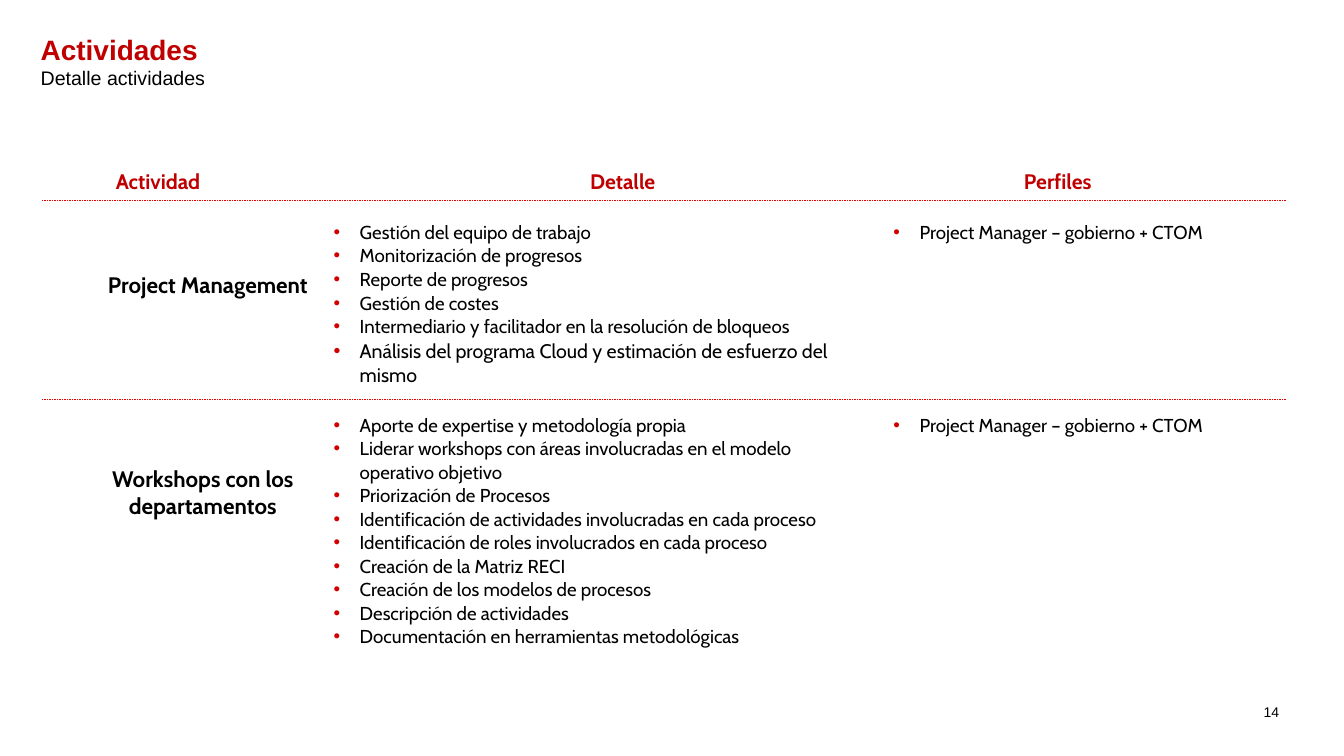
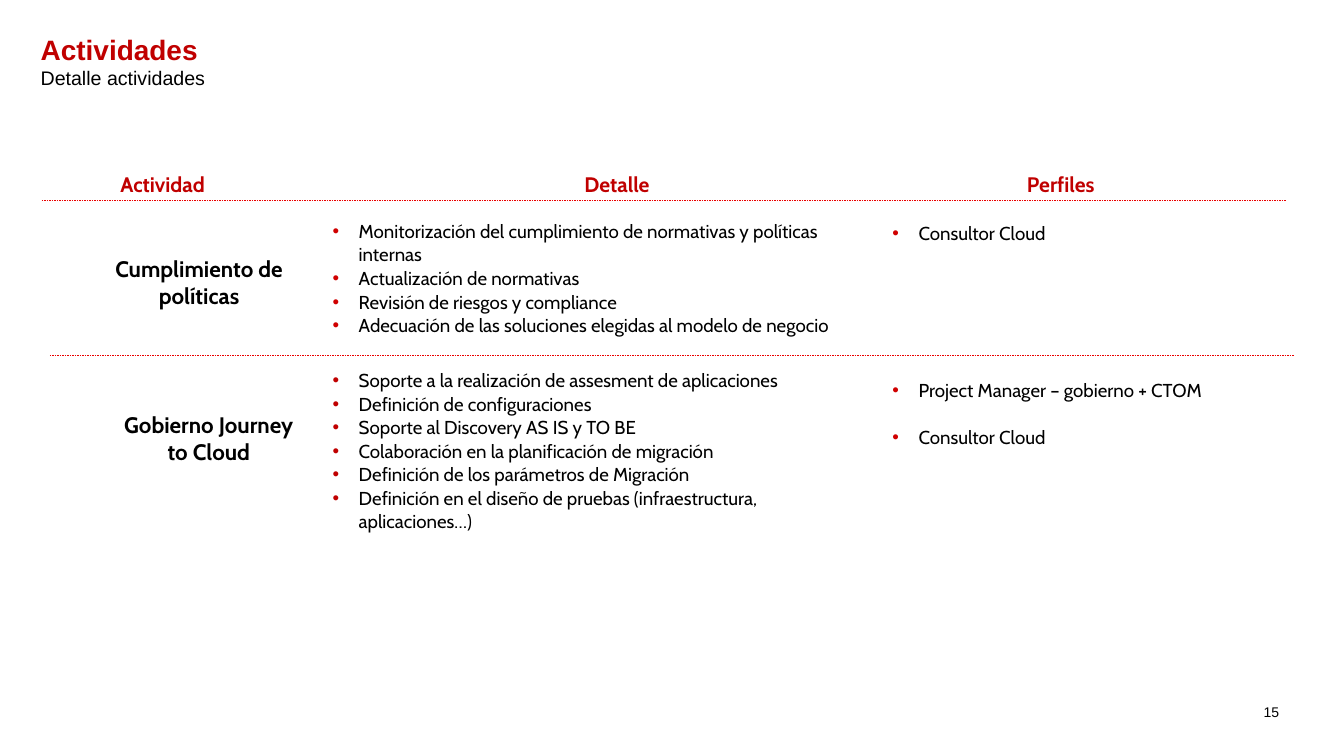
from collections import namedtuple

from lxml.etree import SubElement
from pptx import Presentation
from pptx.dml.color import RGBColor
from pptx.enum.dml import MSO_LINE
from pptx.enum.shapes import MSO_CONNECTOR
from pptx.enum.text import MSO_ANCHOR, PP_ALIGN
from pptx.oxml.ns import qn
from pptx.util import Cm, Pt

RED = "C00000"
BULLET_RED = "D00000"
RULE_RED = "EB0000"
BLACK = "000000"
HEADING_FONT = "Arial"
BODY_FONT = "Cabin"
BODY_SIZE = 26.7
BULLET_INDENT = 1.32
LABEL_INSETS = (0.43, 0.2)
DEFAULT_INSETS = (0.25, 0.13)
NO_INSETS = (0, 0)
RULE_LEFT, RULE_WIDTH = 2.11, 62.71
HEADER_RULE_TOP = 10.08

Box = namedtuple("Box", "left top width height")
Line = namedtuple("Line", "text size bold color before", defaults=(None, None, None, 0))
Activity = namedtuple(
    "Activity", "name name_box details details_box profiles profiles_box bullet",
    defaults=(BULLET_RED,))

MANAGER = Line("Project Manager – gobierno + CTOM")

PROJECT_MANAGEMENT = Activity(
    "Project Management", Box(4.55, 13.44, 11.86, 1.8),
    ["Gestión del equipo de trabajo",
     "Monitorización de progresos",
     "Reporte de progresos",
     "Gestión de costes",
     "Intermediario y facilitador en la resolución de bloqueos",
     Line("Análisis del programa Cloud y estimación de esfuerzo del mismo", 28)],
    Box(16.81, 11.07, 26.47, 7.54),
    [MANAGER], Box(45.03, 11.07, 20.57, 2.79))

WORKSHOPS = Activity(
    "Workshops con los departamentos", Box(4.01, 23.24, 12.42, 3.18),
    ["Aporte de expertise y metodología propia",
     "Liderar workshops con áreas involucradas en el modelo operativo objetivo",
     "Priorización de Procesos",
     "Identificación de actividades involucradas en cada proceso",
     "Identificación de roles involucrados en cada proceso",
     "Creación de la Matriz RECI",
     "Creación de los modelos de procesos",
     "Descripción de actividades",
     "Documentación en herramientas metodológicas"],
    Box(16.81, 20.78, 26.47, 14.5),
    [MANAGER], Box(45.03, 20.78, 20.57, 9.65))

POLICIES = Activity(
    "Cumplimiento de políticas", Box(4.47, 12.65, 11.13, 3.18),
    ["Monitorización del cumplimiento de normativas y políticas internas",
     "Actualización de normativas",
     "Revisión de riesgos y compliance",
     "Adecuación de las soluciones elegidas al modelo de negocio"],
    Box(16.76, 11.02, 26.47, 9.98),
    ["Consultor Cloud"], Box(44.98, 11.13, 20.57, 9.98))

CLOUD_JOURNEY = Activity(
    "Gobierno Journey to Cloud", Box(5.46, 20.52, 10.13, 3.18),
    ["Soporte a la realización de assesment de aplicaciones",
     "Definición de configuraciones",
     "Soporte al Discovery AS IS y TO BE",
     "Colaboración en la planificación de migración",
     "Definición de los parámetros de Migración",
     "Definición en el diseño de pruebas (infraestructura, aplicaciones…)"],
    Box(16.76, 18.54, 26.47, 8.69),
    [MANAGER, Line("Consultor Cloud", before=33.6)], Box(44.98, 19.05, 20.57, 3.86), RED)


def rgb(value):
    return RGBColor.from_string(value)


def add_bullet(paragraph, color):
    properties = paragraph._p.get_or_add_pPr()
    properties.set("marL", str(Cm(BULLET_INDENT)))
    properties.set("indent", str(-Cm(BULLET_INDENT)))
    bullet_color = SubElement(properties, qn("a:buClr"))
    SubElement(bullet_color, qn("a:srgbClr")).set("val", color)
    SubElement(properties, qn("a:buFont")).set("typeface", "Arial")
    SubElement(properties, qn("a:buChar")).set("char", "•")


def add_text(slide, box, lines, size=BODY_SIZE, font=BODY_FONT, color=BLACK, bold=False,
             align=PP_ALIGN.LEFT, anchor=MSO_ANCHOR.TOP, insets=NO_INSETS,
             spacing=None, bullet=None):
    frame = slide.shapes.add_textbox(*map(Cm, box)).text_frame
    frame.word_wrap = True
    frame.vertical_anchor = anchor
    frame.margin_left = frame.margin_right = Cm(insets[0])
    frame.margin_top = frame.margin_bottom = Cm(insets[1])
    for index, entry in enumerate(lines):
        line = entry if isinstance(entry, Line) else Line(entry)
        paragraph = frame.add_paragraph() if index else frame.paragraphs[0]
        if bullet:
            add_bullet(paragraph, bullet)
        paragraph.alignment = align
        if spacing:
            paragraph.line_spacing = spacing
        if line.before:
            paragraph.space_before = Pt(line.before)
        run = paragraph.add_run()
        run.text = line.text
        run.font.name = font
        run.font.size = Pt(line.size or size)
        run.font.bold = bold if line.bold is None else line.bold
        run.font.color.rgb = rgb(line.color or color)


def add_rule(slide, left, top):
    rule = slide.shapes.add_connector(
        MSO_CONNECTOR.STRAIGHT, Cm(left), Cm(top), Cm(left + RULE_WIDTH), Cm(top))
    rule.line.color.rgb = rgb(RULE_RED)
    rule.line.width = Pt(0.5)
    rule.line.dash_style = MSO_LINE.DASH
    SubElement(rule._element.spPr, qn("a:effectLst"))


def add_heading(slide, box):
    add_text(slide, box,
             [Line("Actividades", 40, True, RED), Line("Detalle actividades", 28)],
             font=HEADING_FONT, anchor=MSO_ANCHOR.MIDDLE, insets=DEFAULT_INSETS)


def add_page_number(slide, box, number):
    add_text(slide, box, [str(number)], size=20, font=HEADING_FONT,
             align=PP_ALIGN.CENTER, insets=DEFAULT_INSETS)


def add_column_headers(slide, top, columns, align):
    for name, left, width in columns:
        add_text(slide, Box(left, top, width, 1.22), [name], size=30, color=RED,
                 bold=True, align=align, spacing=1.05)
    add_rule(slide, RULE_LEFT, HEADER_RULE_TOP)


def add_activity(slide, activity):
    add_text(slide, activity.name_box, [activity.name], size=32, bold=True,
             align=PP_ALIGN.CENTER, insets=LABEL_INSETS)
    add_text(slide, activity.details_box, activity.details, spacing=1.05,
             bullet=activity.bullet)
    add_text(slide, activity.profiles_box, activity.profiles, spacing=1.05,
             bullet=BULLET_RED)


def add_activities_slide(deck, number, header_top, columns, align, activities, divider):
    slide = deck.slides.add_slide(deck.slide_layouts[6])
    add_page_number(slide, Box(61.21, 35.31, 5.74, 2.03), number)
    add_heading(slide, Box(1.8, 1.5, 62.8, 3.18))
    add_column_headers(slide, header_top, columns, align)
    for activity in activities:
        add_activity(slide, activity)
    add_rule(slide, *divider)


def main():
    deck = Presentation()
    deck.slide_width, deck.slide_height = Cm(67.74), Cm(38.1)
    add_activities_slide(
        deck, 14, 8.41,
        [("Actividad", 5.84, 5.74), ("Detalle", 29.74, 3.71), ("Perfiles", 51.61, 3.71)],
        PP_ALIGN.LEFT, [PROJECT_MANAGEMENT, WORKSHOPS], (RULE_LEFT, 20.14))
    add_activities_slide(
        deck, 15, 8.59,
        [("Actividad", 5.84, 4.72), ("Detalle", 29.24, 3.71), ("Perfiles", 51.61, 3.71)],
        PP_ALIGN.CENTER, [POLICIES, CLOUD_JOURNEY], (2.51, 17.88))
    deck.save("out.pptx")


if __name__ == "__main__":
    main()
